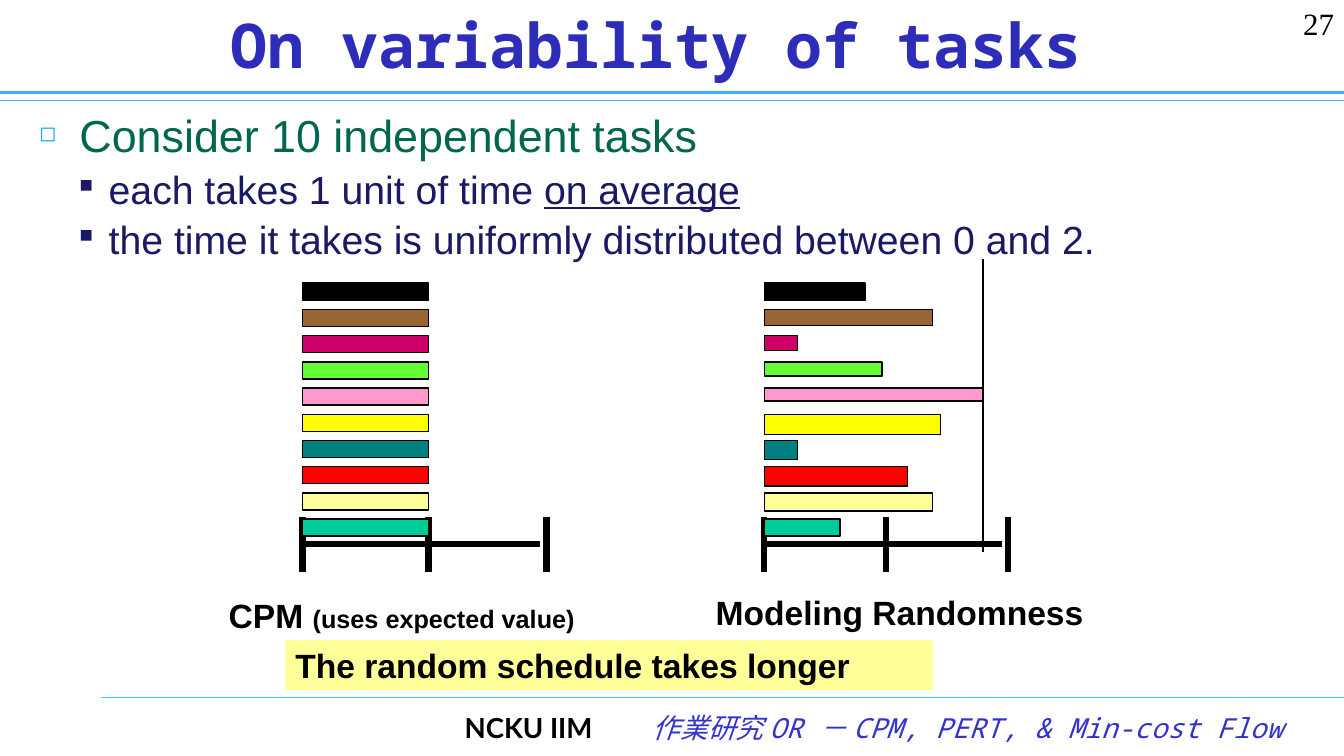
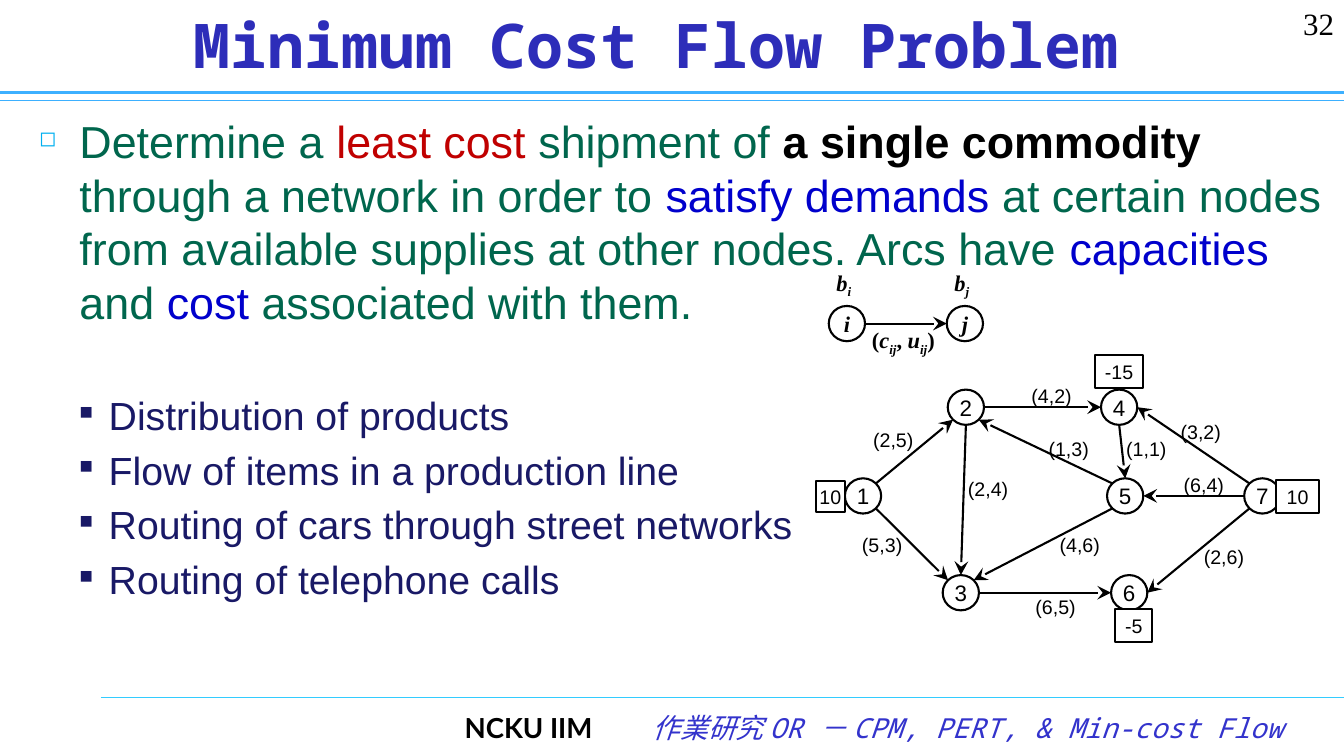
import math

import pptx
import pptx.dml.color
import pptx.enum.shapes
import pptx.enum.text
import pptx.oxml
import pptx.oxml.ns
import pptx.util

RGB = pptx.dml.color.RGBColor
SHAPE = pptx.enum.shapes.MSO_SHAPE
ALIGN = pptx.enum.text.PP_ALIGN
ANCHOR = pptx.enum.text.MSO_ANCHOR
qn = pptx.oxml.ns.qn

PX = 9144  # EMU in one px, 100 px to the inch
WIDTH, HEIGHT = 1333, 750

BLACK = RGB(0x00, 0x00, 0x00)
WHITE = RGB(0xFF, 0xFF, 0xFF)
TITLE_BLUE = RGB(0x2D, 0x2D, 0xB9)
COURSE_BLUE = RGB(0x33, 0x33, 0xCC)
BAND_BLUE = RGB(0x3D, 0xB0, 0xFF)
FOOTER_LINE = RGB(0x33, 0xCC, 0xFF)
BULLET_BLUE = RGB(0x00, 0xB0, 0xF0)
GREEN = RGB(0x00, 0x66, 0x4D)
NAVY = RGB(0x19, 0x19, 0x66)
RED = RGB(0xC0, 0x00, 0x00)
BLUE = RGB(0x00, 0x00, 0xCC)
PALE_YELLOW = RGB(0xFF, 0xFF, 0x99)
TASK_COLORS = [
    BLACK, RGB(0x99, 0x66, 0x33), RGB(0xCC, 0x00, 0x66), RGB(0x66, 0xFF, 0x33),
    RGB(0xFF, 0x99, 0xCC), RGB(0xFF, 0xFF, 0x00), RGB(0x00, 0x80, 0x80),
    RGB(0xFF, 0x00, 0x00), PALE_YELLOW, RGB(0x00, 0xCC, 0x99),
]

SANS, MONO, SERIF, LATO = "Arial", "Noto Sans Mono", "Times New Roman", "Lato"
NODE_W, NODE_H = 36, 35
DIAGONAL = math.sqrt(0.5)
SITES = {
    "N": (0, -1), "S": (0, 1), "W": (-1, 0), "E": (1, 0),
    "NW": (-DIAGONAL, -DIAGONAL), "NE": (DIAGONAL, -DIAGONAL),
    "SW": (-DIAGONAL, DIAGONAL), "SE": (DIAGONAL, DIAGONAL),
}


def emu(*lengths):
    return [round(v * PX) for v in lengths]


def add_runs(p, text, size=16, font=SANS, color=BLACK, bold=False,
             italic=False, underline=False, sub=False):
    """Add a string, or a list of strings and (string, changes) pairs."""
    base = dict(size=size, font=font, color=color, bold=bold,
                italic=italic, underline=underline, sub=sub)
    if not isinstance(text, str):
        for part in text:
            words, changes = (part, {}) if isinstance(part, str) else part
            add_runs(p, words, **{**base, **changes})
        return
    r = p.add_run()
    r.text = text
    r.font.size = pptx.util.Pt(size)
    r.font.name = font
    r.font.color.rgb = color
    r.font.bold, r.font.italic, r.font.underline = bold, italic, underline
    if sub:
        r.font._element.set("baseline", "-25000")


def set_text(sp, text, align=ALIGN.LEFT, anchor=ANCHOR.TOP, tight=False, **fmt):
    tf = sp.text_frame
    tf.word_wrap = not tight
    tf.vertical_anchor = anchor
    if tight:
        tf.margin_left = tf.margin_right = tf.margin_top = tf.margin_bottom = 0
    p = tf.paragraphs[0]
    p.alignment = align
    add_runs(p, text, **fmt)


def add_text(s, box, text, **fmt):
    sp = s.shapes.add_textbox(*emu(*box))
    set_text(sp, text, **fmt)
    return sp


def add_centred(s, x, y, text, width=60, **fmt):
    """Add a one-line label whose middle is at x, y."""
    add_text(s, (x - width / 2, y - 17, width, 34), text, align=ALIGN.CENTER,
             anchor=ANCHOR.MIDDLE, tight=True, **fmt)


def add_shape(s, kind, box, fill=None, line=None, weight=1):
    sp = s.shapes.add_shape(kind, *emu(*box))
    sp.shadow.inherit = False
    if fill is None:
        sp.fill.background()
    else:
        sp.fill.solid()
        sp.fill.fore_color.rgb = fill
    if line is None:
        sp.line.fill.background()
    else:
        sp.line.color.rgb = line
        sp.line.width = pptx.util.Pt(weight)
    return sp


def add_line(s, x1, y1, x2, y2, color=BLACK, weight=1.0, arrow=False):
    c = s.shapes.add_connector(pptx.enum.shapes.MSO_CONNECTOR.STRAIGHT,
                               *emu(x1, y1, x2, y2))
    c.line.color.rgb = color
    c.line.width = pptx.util.Pt(weight)
    spPr = c._element.spPr
    ns = pptx.oxml.ns.nsdecls("a")
    if arrow:
        end = f'<a:tailEnd {ns} type="stealth" w="lg" len="lg"/>'
        spPr.find(qn("a:ln")).append(pptx.oxml.parse_xml(end))
    spPr.append(pptx.oxml.parse_xml(f'<a:effectLst {ns}/>'))


def add_bullet(p, char, color, margin, indent):
    pPr = p._p.get_or_add_pPr()
    pPr.set("marL", str(margin * PX))
    pPr.set("indent", str(-indent * PX))
    ns = pptx.oxml.ns.nsdecls("a")
    for xml in (f'<a:buClr {ns}><a:srgbClr val="{color}"/></a:buClr>',
                f'<a:buSzPct {ns} val="47000"/>',
                f'<a:buChar {ns} char="{char}"/>'):
        pPr.append(pptx.oxml.parse_xml(xml))


def add_body(s, box, lead, points, leading, gap=5.6):
    """Add a lead paragraph and its points; gap parts the two, in points."""
    tf = s.shapes.add_textbox(*emu(*box)).text_frame
    tf.word_wrap = True
    p = tf.paragraphs[0]
    p.line_spacing = pptx.util.Pt(leading[0])
    add_bullet(p, "◻", BULLET_BLUE, 40, 40)
    add_runs(p, lead, size=32, color=GREEN)
    for i, point in enumerate(points):
        p = tf.add_paragraph()
        p.level = 1
        p.line_spacing = pptx.util.Pt(leading[1])
        p.space_before = pptx.util.Pt(5.6 if i else gap)
        add_bullet(p, "■", NAVY, 69, 29)
        add_runs(p, point, size=28, color=NAVY)


def add_slide(prs, title, number):
    """Add a slide with the title, bands, footer and page number."""
    s = prs.slides.add_slide(prs.slide_layouts[6])
    add_text(s, (451, 700, 170, 50), "NCKU IIM", size=19.7, font=LATO, bold=True)
    add_text(s, (600, 700, 682, 50), "作業研究 OR － CPM, PERT, & Min-cost Flow",
             align=ALIGN.RIGHT, size=19.7, font=MONO, color=COURSE_BLUE, italic=True)
    add_line(s, 0, 100, WIDTH, 100, BAND_BLUE, 0.75)
    add_line(s, 0, 92, WIDTH, 92, BAND_BLUE, 2.5)
    add_line(s, 100, 692, WIDTH, 692, FOOTER_LINE, 0.75)
    add_text(s, (35, 0, 1232, 87), title, align=ALIGN.CENTER, anchor=ANCHOR.MIDDLE,
             size=44, font=MONO, color=TITLE_BLUE, bold=True)
    add_text(s, (1266, 0, 67, 50), str(number), align=ALIGN.RIGHT,
             size=22.1, font=SERIF)
    return s


def add_task_bars(s, x, y, sizes, ticks):
    """Add one bar per task above a time axis, from the top left x, y."""
    axis_y = y + 259
    add_line(s, x, axis_y, x + 236, axis_y, weight=4.5)
    for tick in ticks:
        add_line(s, x + tick, axis_y - 27, x + tick, axis_y + 27, weight=4.5)
    for i, ((w, h), color) in enumerate(zip(sizes, TASK_COLORS)):
        add_shape(s, SHAPE.RECTANGLE, (x, y + 26 * i, w, h), color, BLACK)


def add_node(s, x, y, text, fill=None, **fmt):
    """Add a round node whose middle is at x, y."""
    sp = add_shape(s, SHAPE.OVAL, (x - NODE_W / 2, y - NODE_H / 2, NODE_W, NODE_H),
                   fill, BLACK, 1.5)
    set_text(sp, text, align=ALIGN.CENTER, anchor=ANCHOR.MIDDLE, tight=True, **fmt)


def add_arc(s, start, start_site, end, end_site):
    """Add an arrow between sites on the rims of two nodes."""
    ends = []
    for (x, y), site in ((start, start_site), (end, end_site)):
        dx, dy = SITES[site]
        ends += [x + dx * NODE_W / 2, y + dy * NODE_H / 2]
    add_line(s, *ends, weight=1.5, arrow=True)


def add_network(s, x, y):
    nodes = {1: (56, 142), 2: (158, 54), 3: (153, 238), 4: (310, 54),
             5: (316, 142), 6: (320, 238), 7: (452, 142)}
    arcs = [
        (1, "NE", 2, "SW", "(2,5)", 86, 86), (1, "SE", 3, "NW", "(5,3)", 75, 190),
        (2, "S", 3, "N", "(2,4)", 180, 135), (2, "E", 4, "W", "(4,2)", 243, 43),
        (3, "E", 6, "W", "(6,5)", 247, 252), (7, "SW", 6, "E", "(2,6)", 414, 202),
        (7, "W", 5, "E", "(6,4)", 394, 131), (7, "NW", 4, "E", "(3,2)", 391, 78),
        (4, "S", 5, "N", "(1,1)", 337, 95), (5, "NW", 2, "SE", "(1,3)", 260, 95),
        (5, "SW", 3, "NE", "(4,6)", 271, 190),
    ]
    supplies = [("10", 9, 127, 29, 31), ("10", 466, 126, 42, 33),
                ("-5", 306, 254, 37, 33), ("-15", 286, 2, 48, 33)]
    places = {n: (x + dx, y + dy) for n, (dx, dy) in nodes.items()}
    for n, place in places.items():
        add_node(s, *place, str(n), WHITE)
    for a, a_site, b, b_site, label, dx, dy in arcs:
        add_arc(s, places[a], a_site, places[b], b_site)
        add_centred(s, x + dx, y + dy, label, size=14)
    for text, dx, dy, w, h in supplies:
        sp = add_shape(s, SHAPE.RECTANGLE, (x + dx, y + dy, w, h), WHITE, BLACK, 1.5)
        set_text(sp, text, align=ALIGN.CENTER, anchor=ANCHOR.MIDDLE,
                 tight=True, size=14)


def add_notation(s, x, y):
    """Add the key that names the values of a node and of an arc."""
    fmt = dict(font=SERIF, bold=True, italic=True)
    upright, sub = dict(italic=False), dict(sub=True)
    nodes = {"i": (x + 22, y + 59), "j": (x + 139, y + 59)}
    for name, (nx, ny) in nodes.items():
        add_node(s, nx, ny, name, **fmt)
        add_centred(s, nx - 3, y + 20, ["b", (name, sub)], **fmt)
    add_arc(s, nodes["i"], "E", nodes["j"], "W")
    add_centred(s, x + 78, y + 77, [("(", upright), "c", ("ij", sub), (", ", upright),
                                    "u", ("ij", sub), (")", upright)],
                width=110, **fmt)


def add_variability_slide(prs):
    s = add_slide(prs, "On variability of tasks", 27)
    add_body(s, (29, 108, 1304, 586), "Consider 10 independent tasks",
             [["each takes 1 unit of time ", ("on average", dict(underline=True))],
              "the time it takes is uniformly distributed between 0 and 2."],
             leading=(34.4, 30.1))
    add_task_bars(s, 300, 281, [(125, 17)] * 10, (0, 125, 242))
    add_task_bars(s, 758, 281,
                  [(100, 17), (167, 16), (33, 15), (117, 14), (217, 13),
                   (175, 20), (33, 19), (142, 19), (167, 18), (75, 17)],
                  (0, 121, 242))
    add_line(s, 975, 257, 975, 548)
    label = dict(size=24, bold=True)
    add_text(s, (217, 585, 417, 50),
             ["CPM ", ("(uses expected value)", dict(size=18))], **label)
    add_text(s, (700, 582, 417, 50), "Modeling Randomness", **label)
    sp = add_shape(s, SHAPE.RECTANGLE, (283, 635, 642, 50), PALE_YELLOW)
    set_text(sp, "The random schedule takes longer", **label)


def add_flow_slide(prs):
    s = add_slide(prs, "Minimum Cost Flow Problem", 32)
    blue = dict(color=BLUE)
    add_body(s, (29, 108, 1304, 586),
             ["Determine a ", ("least cost ", dict(color=RED)), "shipment of ",
              ("a single commodity ", dict(color=BLACK, bold=True)),
              "through a network in order to ", ("satisfy demands ", blue),
              "at certain nodes from available supplies at other nodes. Arcs have ",
              ("capacities", blue), " and ", ("cost", blue),
              " associated with them."],
             ["Distribution of products", "Flow of items in a production line",
              "Routing of cars through street networks",
              "Routing of telephone calls"],
             leading=(38.3, 33.5), gap=45)
    add_network(s, 800, 350)
    add_notation(s, 818, 262)


def main():
    prs = pptx.Presentation()
    prs.slide_width, prs.slide_height = emu(WIDTH, HEIGHT)
    add_variability_slide(prs)
    add_flow_slide(prs)
    prs.save("out.pptx")


if __name__ == "__main__":
    main()
